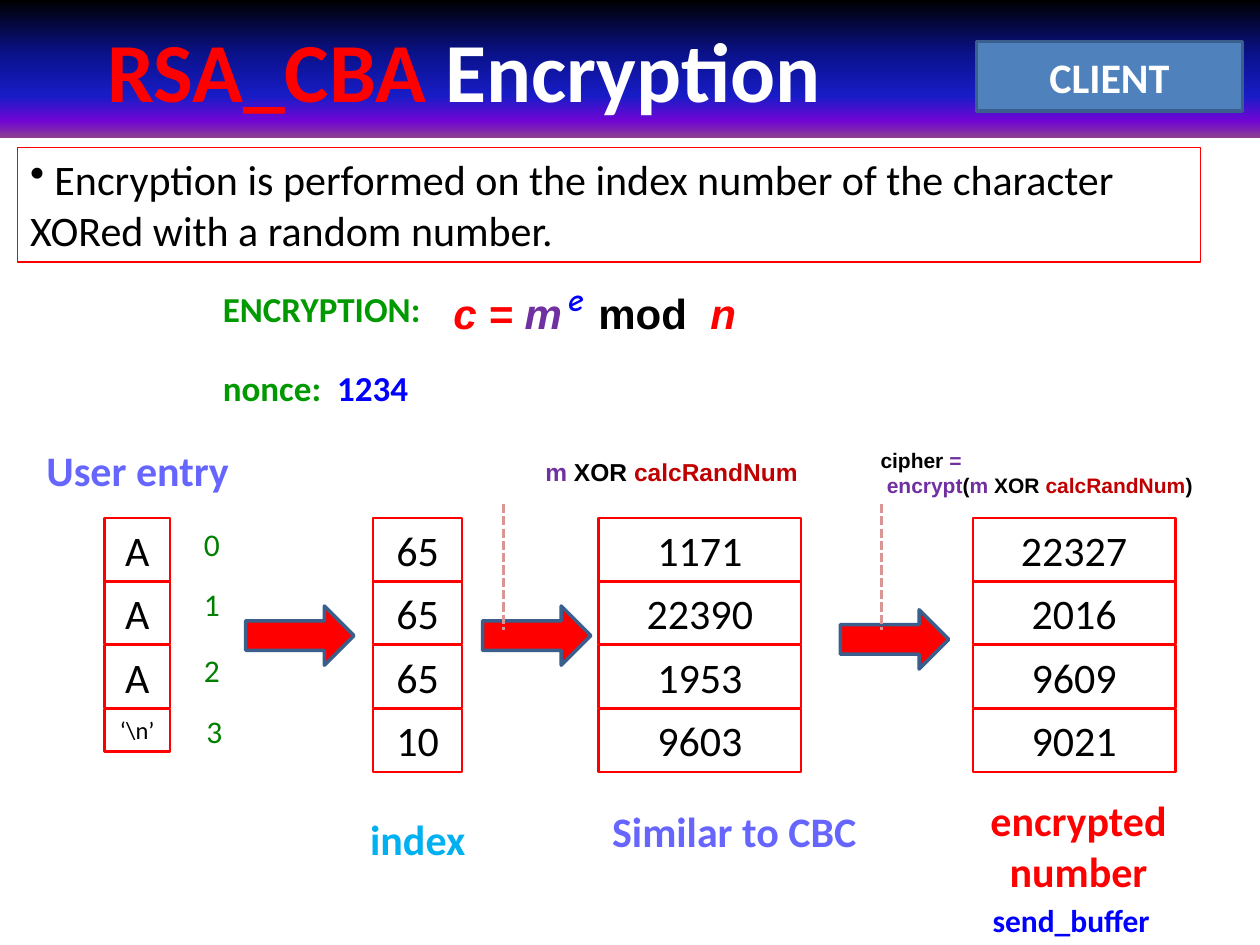
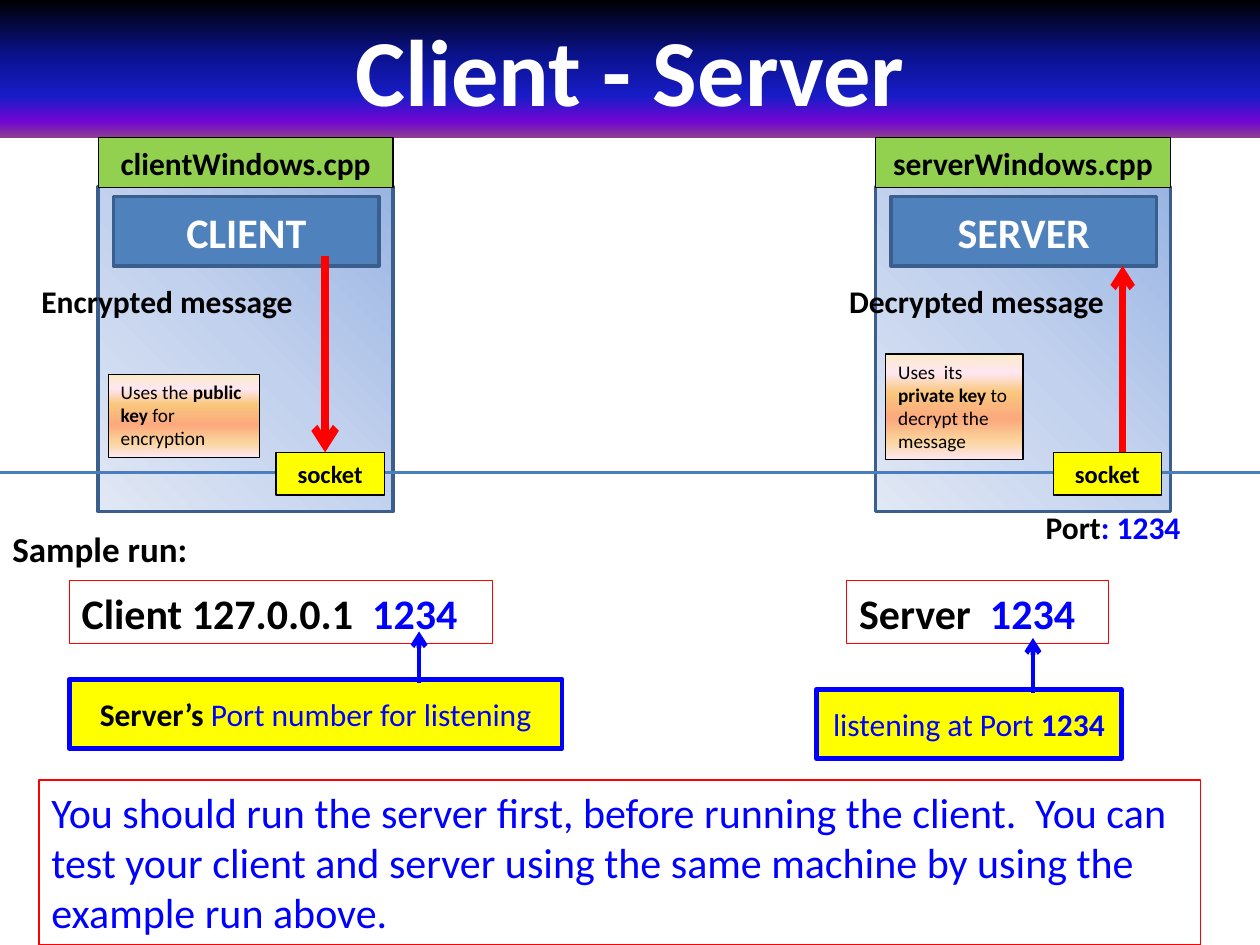
from dataclasses import dataclass

from lxml import etree
from pptx import Presentation
from pptx.dml.color import RGBColor
from pptx.enum.dml import MSO_LINE
from pptx.enum.shapes import MSO_CONNECTOR, MSO_SHAPE
from pptx.enum.text import MSO_ANCHOR, MSO_AUTO_SIZE, PP_ALIGN
from pptx.oxml.ns import qn
from pptx.util import Inches, Pt

LEFT, CENTER = PP_ALIGN.LEFT, PP_ALIGN.CENTER
TOP, MIDDLE = MSO_ANCHOR.TOP, MSO_ANCHOR.MIDDLE
NO_AUTOFIT = MSO_AUTO_SIZE.NONE
RECTANGLE, RIGHT_ARROW = MSO_SHAPE.RECTANGLE, MSO_SHAPE.RIGHT_ARROW
CALLOUT = MSO_SHAPE.LINE_CALLOUT_1
STRAIGHT, SHORT_DASH = MSO_CONNECTOR.STRAIGHT, MSO_LINE.SQUARE_DOT


@dataclass(frozen=True)
class Theme:
    font: str = "Calibri"
    formula_font: str = "Arial"
    exponent_font: str = "Comic Neue"
    black: str = "000000"
    white: str = "FFFFFF"
    red: str = "FF0000"
    dark_red: str = "C00000"
    blue: str = "0000FF"
    violet: str = "6666FF"
    purple: str = "7030A0"
    sky: str = "00B0F0"
    green: str = "009900"
    dark_green: str = "008000"
    lime: str = "92D050"
    yellow: str = "FFFF00"
    pink: str = "D99694"
    steel: str = "4F81BD"
    steel_edge: str = "3A5F8C"
    network: str = "4B7EBC"
    heading: int = 24
    medium: int = 20
    body: int = 18
    small: int = 14
    caption: int = 12
    note: int = 11
    band: tuple = (90, (0, "000000"), (40, "0A128C"), (70, "181CC7"),
                   (88, "7005D4"), (100, "8C3D91"))
    panel: tuple = (135, (0, "9AB5E4"), (50, "C2D1ED"), (100, "E1E8F5"))
    peach: tuple = (90, (0, "FBEAC7"), (18, "FEE7F2"), (36, "FAC77D"),
                    (61, "FBA97D"), (82, "FBD49C"), (100, "FEE7F2"))


THEME = Theme()
WIDTH, HEIGHT, BAND_HEIGHT = 10, 7.5, 1.09
THIN = (THEME.red, 0.75)
CELL_EDGE = (THEME.red, 1.25)
BLACK_EDGE = (THEME.black, 0.75)
STEEL_EDGE = (THEME.steel_edge, 2)
CALLOUT_EDGE = (THEME.blue, 2.75)

CELL_TOP, ROW_PITCH, CELL_HEIGHT, SHORT_CELL = 4.11, 0.505, 0.5, 0.34
COLUMNS = [
    (0.83, 0.52, ["A", "A", "A", "‘\\n’"]),
    (2.96, 0.71, ["65", "65", "65", "10"]),
    (4.75, 1.61, ["1171", "22390", "1953", "9603"]),
    (7.72, 1.61, ["22327", "2016", "9609", "9021"]),
]
POSITIONS = [(1.52, 4.12), (1.52, 4.59), (1.52, 5.12), (1.54, 5.6)]
BLOCK_ARROWS = [(1.95, 4.81), (3.83, 4.81), (6.67, 4.84)]
LEADERS = [(4.14, 3.86), (6.95, 3.92)]
LEADER_CURVES = [
    [(0.15, 0), (0.1, 0.22), (0.05, 0.43), (0.02, 0.6)],
    [(0.02, 0.6), (0, 0.76), (0, 0.89), (0, 1.01)],
]
INTRO = " Encryption is performed on the index number of the character XORed with a random number."
FORMULA = [("c = ", THEME.red, "bi"), ("m\t", THEME.purple, "bi"),
           ("mod\t", THEME.black, "b"), ("n", THEME.red, "bi")]
FORMULA_TABS = [1.15, 2.04]
XOR_TERM = [("m", THEME.purple, "b"), (" XOR ", THEME.black, "b"),
            ("calcRandNum", THEME.dark_red, "b")]
CIPHER = [
    [("cipher ", THEME.black, "b"), ("=", THEME.purple, "b")],
    [("encrypt", THEME.purple, "b"), ("(", THEME.black, "b"), *XOR_TERM,
     (")", THEME.black, "b")],
]
ENCRYPTION_LABELS = [
    ((1.67, 2.23, 1.78, 0.44), [("ENCRYPTION:", THEME.green, "b")], THEME.medium),
    ((1.67, 2.86, 1.69, 0.44),
     [("nonce:  ", THEME.green, "b"), ("1234", THEME.blue, "b")], THEME.medium),
    ((0.27, 3.48, 1.67, 0.5), [("User entry", THEME.violet, "b")], THEME.heading),
    ((2.84, 6.41, 0.97, 0.5), [("index", THEME.sky, "b")], THEME.heading),
    ((4.76, 6.34, 2.15, 0.5), [("Similar to CBC", THEME.violet, "b")], THEME.heading),
    ((7.78, 7.1, 1.47, 0.4), [("send_buffer", THEME.blue, "b")], THEME.body),
]

HOST_LEFT, HOST_PITCH, HOST_WIDTH = 0.78, 6.17, 2.34
NETWORK_Y, SOCKET_TOP = 3.75, 3.59
HOSTS = [
    {"file": "clientWindows.cpp", "role": "CLIENT",
     "message": "Encrypted message", "message_at": (0.23, 2.19, 2.21, 0.4),
     "note": [("Uses the ", THEME.black, ""), ("public key ", THEME.black, "b"),
              ("for encryption", THEME.black, "")],
     "note_at": (0.86, 2.97, 1.2, 0.66),
     "arrow": ((2.58, 2.03), (2.58, SOCKET_TOP), 4.5)},
    {"file": "serverWindows.cpp", "role": "SERVER",
     "message": "Decrypted message", "message_at": (6.64, 2.19, 2.24, 0.4),
     "note": [("Uses  its ", THEME.black, ""), ("private key", THEME.black, "b"),
              (" to decrypt the message", THEME.black, "")],
     "note_at": (7.03, 2.81, 1.09, 0.84),
     "arrow": ((8.91, SOCKET_TOP), (8.91, 2.11), 4)},
]
COMMANDS = [
    ((0.55, 4.61, 3.36, 0.5), "Client 127.0.0.1  "),
    ((6.72, 4.61, 2.08, 0.5), "Server  "),
]
CALLOUTS = [
    ((0.55, 5.39, 3.91, 0.55), -0.69,
     [("Server’s ", THEME.black, "b"), ("Port number for listening", THEME.blue, "")]),
    ((6.48, 5.47, 2.42, 0.55), -0.74,
     [("listening at Port ", THEME.blue, ""), ("1234", THEME.blue, "b")]),
]
RUN_LABELS = [
    ((0, 4.14, 1.6, 0.44), [("Sample run:", THEME.black, "b")], THEME.medium),
    ((8.2, 3.98, 1.28, 0.4),
     [("Port", THEME.black, "b"), (": 1234", THEME.blue, "b")], THEME.body),
]
ADVICE = ("You should run the server first, before running the client.  You can test your "
          "client and server using the same machine by using the example run above.")


def color(value):
    return RGBColor.from_string(value)


def paint(shape, fill=None, edge=None):
    if isinstance(fill, tuple):
        angle, *stops = fill
        shape.fill.gradient()
        gradient = shape.element.spPr.find(qn("a:gradFill"))
        stop_list = gradient.find(qn("a:gsLst"))
        for stop in list(stop_list):
            stop_list.remove(stop)
        for position, value in stops:
            stop = etree.SubElement(stop_list, qn("a:gs"), pos=str(position * 1000))
            etree.SubElement(stop, qn("a:srgbClr"), val=value)
        gradient.find(qn("a:lin")).set("ang", str(angle * 60000))
    elif fill:
        shape.fill.solid()
        shape.fill.fore_color.rgb = color(fill)
    else:
        shape.fill.background()
    if edge:
        shape.line.color.rgb = color(edge[0])
        shape.line.width = Pt(edge[1])
    else:
        shape.line.fill.background()


def write(shape, paragraphs, size, align=LEFT, anchor=TOP, wrap=True, font=THEME.font):
    frame = shape.text_frame
    frame.auto_size = NO_AUTOFIT
    frame.word_wrap = wrap
    frame.vertical_anchor = anchor
    for index, runs in enumerate(paragraphs):
        paragraph = frame.add_paragraph() if index else frame.paragraphs[0]
        paragraph.alignment = align
        for text, value, style in runs:
            run = paragraph.add_run()
            run.text = text
            run.font.name = font
            run.font.size = Pt(size)
            run.font.color.rgb = color(value)
            run.font.bold = "b" in style
            run.font.italic = "i" in style


def add_box(slide, at, fill=None, edge=None, kind=RECTANGLE):
    shape = slide.shapes.add_shape(kind, *map(Inches, at))
    shape.shadow.inherit = False
    paint(shape, fill, edge)
    return shape


def add_label(slide, at, paragraphs, size, **options):
    shape = slide.shapes.add_textbox(*map(Inches, at))
    write(shape, paragraphs, size, **options)
    return shape


def add_arrowhead(shape):
    etree.SubElement(shape.element.spPr.find(qn("a:ln")), qn("a:tailEnd"), type="arrow")


def add_line(slide, start, end, edge, arrow=False):
    line = slide.shapes.add_connector(STRAIGHT, *map(Inches, (*start, *end)))
    line.line.color.rgb = color(edge[0])
    line.line.width = Pt(edge[1])
    if arrow:
        add_arrowhead(line)
    etree.SubElement(line.element.spPr, qn("a:effectLst"))


def add_role(slide, left, top, role):
    box = add_box(slide, (left, top, 2.11, 0.55), THEME.steel, STEEL_EDGE)
    write(box, [[(role, THEME.white, "b")]], THEME.heading, CENTER, MIDDLE)


def add_titled_slide(presentation, runs, size, align=CENTER):
    slide = presentation.slides.add_slide(presentation.slide_layouts[5])
    title = slide.shapes.title
    title.left, title.top = 0, 0
    title.width, title.height = Inches(WIDTH), Inches(BAND_HEIGHT)
    paint(title, THEME.band)
    write(title, [runs], size, align, MIDDLE)
    return slide


def add_leader(slide, left, top):
    points = []
    for curve in LEADER_CURVES:
        for step in range(9):
            t = step / 8
            weights = ((1 - t) ** 3, 3 * t * (1 - t) ** 2, 3 * t * t * (1 - t), t ** 3)
            points.append((left + sum(w * p[0] for w, p in zip(weights, curve)),
                           top + sum(w * p[1] for w, p in zip(weights, curve))))
    builder = slide.shapes.build_freeform(*points[0], scale=Inches(1))
    builder.add_line_segments(points[1:], close=False)
    leader = builder.convert_to_shape()
    leader.shadow.inherit = False
    paint(leader, edge=(THEME.pink, 1.75))
    leader.line.dash_style = SHORT_DASH


def build_encryption(presentation):
    slide = add_titled_slide(
        presentation, [("RSA_CBA ", THEME.red, "b"), ("Encryption", THEME.white, "b")], 48, LEFT)
    slide.shapes.title.text_frame.margin_left = Inches(0.85)
    intro = add_box(slide, (0.14, 1.17, 9.39, 0.91), edge=THIN)
    bullet_properties = intro.text_frame.paragraphs[0]._p.get_or_add_pPr()
    etree.SubElement(bullet_properties, qn("a:buChar"), char="•")
    write(intro, [[(INTRO, THEME.black, "")]], THEME.heading)
    add_role(slide, 7.75, 0.33, "CLIENT")

    for left, width, values in COLUMNS:
        for row, value in enumerate(values):
            short = value.startswith("‘")
            height = SHORT_CELL if short else CELL_HEIGHT
            cell = add_box(slide, (left, CELL_TOP + row * ROW_PITCH, width, height),
                           edge=CELL_EDGE)
            write(cell, [[(value, THEME.black, "")]],
                  THEME.small if short else THEME.heading, CENTER)
    for row, (left, top) in enumerate(POSITIONS):
        add_label(slide, (left, top, 0.33, 0.4), [[(str(row), THEME.dark_green, "")]],
                  THEME.body, wrap=False)
    for left, top in BLOCK_ARROWS:
        add_box(slide, (left, top, 0.86, 0.47), THEME.red, STEEL_EDGE, RIGHT_ARROW)
    for at, runs, size in ENCRYPTION_LABELS:
        add_label(slide, at, [runs], size, wrap=False)

    formula = add_label(slide, (3.5, 2.23, 2.52, 0.51), [FORMULA], THEME.heading,
                        font=THEME.formula_font)
    tab_list = etree.SubElement(formula.text_frame.paragraphs[0]._p.get_or_add_pPr(),
                                qn("a:tabLst"))
    for position in FORMULA_TABS:
        etree.SubElement(tab_list, qn("a:tab"), pos=str(Inches(position)), algn="l")
    add_label(slide, (4.4, 2.17, 0.34, 0.41), [[("e", THEME.blue, "bi")]], THEME.body,
              align=CENTER, wrap=False, font=THEME.exponent_font)
    add_label(slide, (4.23, 3.58, 2.27, 0.34), [XOR_TERM], THEME.small, wrap=False,
              font=THEME.formula_font)
    cipher = add_label(slide, (6.89, 3.5, 2.94, 0.5), CIPHER, THEME.caption,
                       font=THEME.formula_font)
    cipher.text_frame.paragraphs[1]._p.get_or_add_pPr().set("marL", str(Inches(0.05)))
    add_label(slide, (7.42, 6.26, 2.28, 0.91),
              [[(word, THEME.red, "b")] for word in ("encrypted", "number")],
              THEME.heading, align=CENTER)
    for left, top in LEADERS:
        add_leader(slide, left, top)


def build_client_server(presentation):
    slide = add_titled_slide(presentation, [("Client - Server", THEME.white, "b")], 54)
    for at, command in COMMANDS:
        box = add_box(slide, at, edge=THIN)
        write(box, [[(command, THEME.black, "b"), ("1234", THEME.blue, "b")]],
              THEME.heading, wrap=False)
    advice = add_box(slide, (0.31, 6.19, 9.22, 1.31), edge=THIN)
    write(advice, [[(ADVICE, THEME.blue, "")]], THEME.heading)
    for at, tip, runs in CALLOUTS:
        callout = add_box(slide, at, THEME.yellow, CALLOUT_EDGE, CALLOUT)
        for index, value in enumerate((0.05, 0.71, tip, 0.71)):
            callout.adjustments[index] = value
        add_arrowhead(callout)
        write(callout, [runs], THEME.body, CENTER, MIDDLE)
    for at, runs, size in RUN_LABELS:
        add_label(slide, at, [runs], size, wrap=False)

    for index, host in enumerate(HOSTS):
        left = HOST_LEFT + index * HOST_PITCH
        add_box(slide, (left, 1.48, HOST_WIDTH, 2.58), THEME.panel, STEEL_EDGE)
        add_role(slide, left + 0.12, 1.56, host["role"])
        note = add_box(slide, host["note_at"], THEME.peach, BLACK_EDGE)
        write(note, [host["note"]], THEME.note)
        add_label(slide, host["message_at"], [[(host["message"], THEME.black, "b")]],
                  THEME.body, wrap=False)
        file_box = add_box(slide, (left, BAND_HEIGHT, HOST_WIDTH, 0.4), THEME.lime, BLACK_EDGE)
        write(file_box, [[(host["file"], THEME.black, "b")]], THEME.body, CENTER)
    add_line(slide, (0, NETWORK_Y), (WIDTH, NETWORK_Y), (THEME.network, 2.25))
    for index, host in enumerate(HOSTS):
        left = HOST_LEFT + index * HOST_PITCH + 1.41
        socket = add_box(slide, (left, SOCKET_TOP, 0.86, 0.34), THEME.yellow, BLACK_EDGE)
        write(socket, [[("socket", THEME.black, "b")]], THEME.small, CENTER)
        start, end, weight = host["arrow"]
        add_line(slide, start, end, (THEME.red, weight), arrow=True)


def main():
    presentation = Presentation()
    presentation.slide_width, presentation.slide_height = Inches(WIDTH), Inches(HEIGHT)
    build_encryption(presentation)
    build_client_server(presentation)
    presentation.save("out.pptx")


if __name__ == "__main__":
    main()
